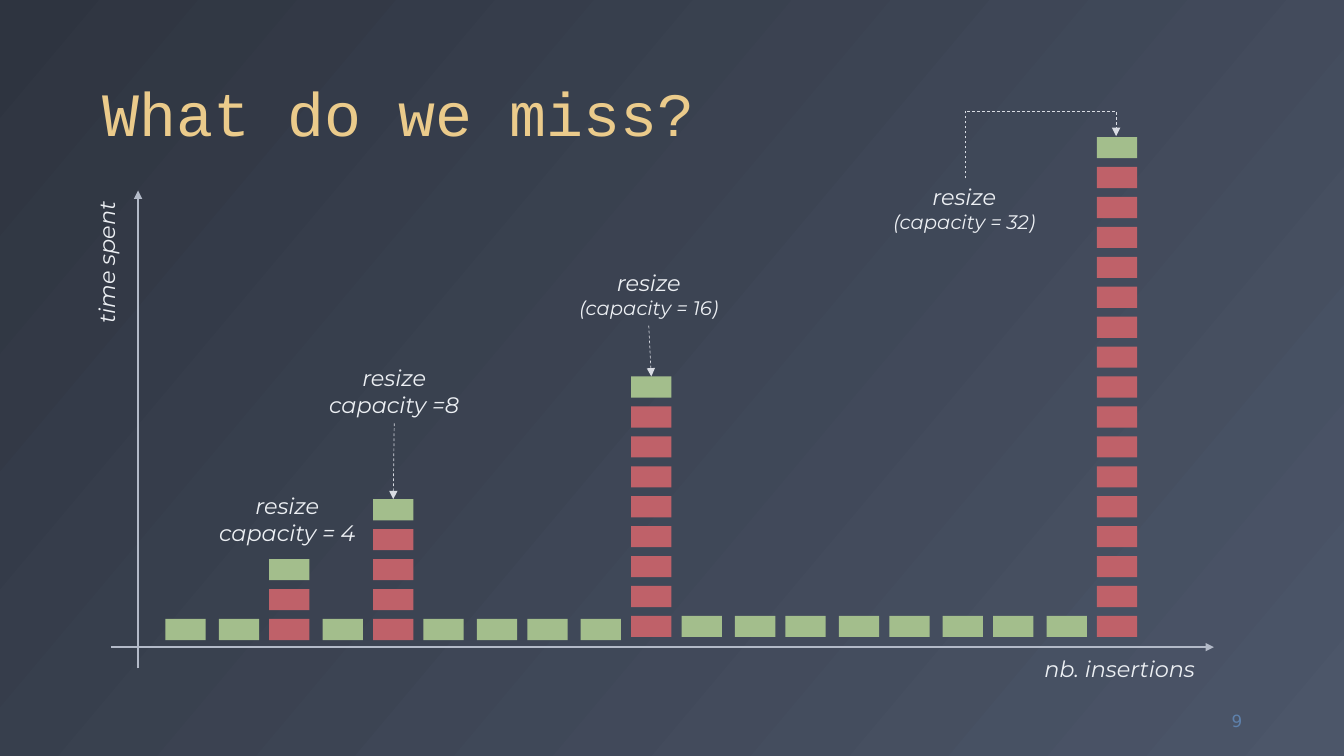
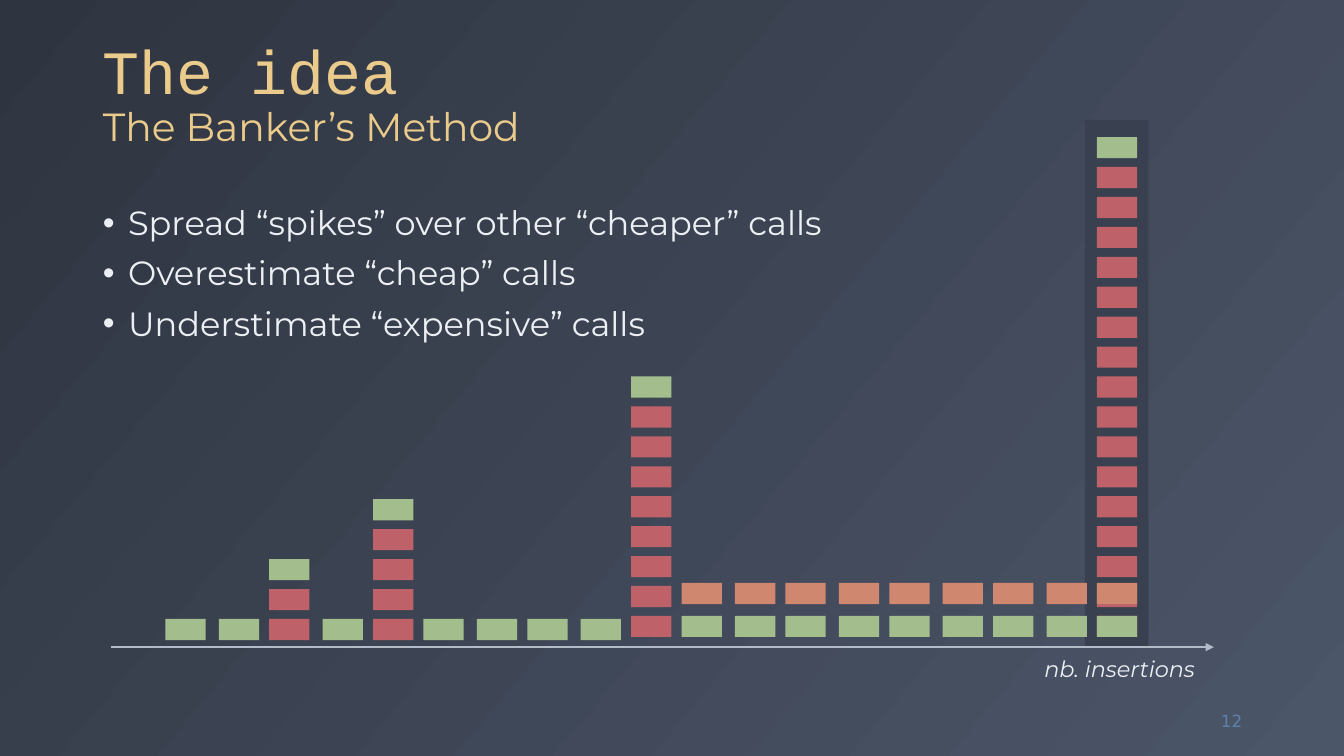
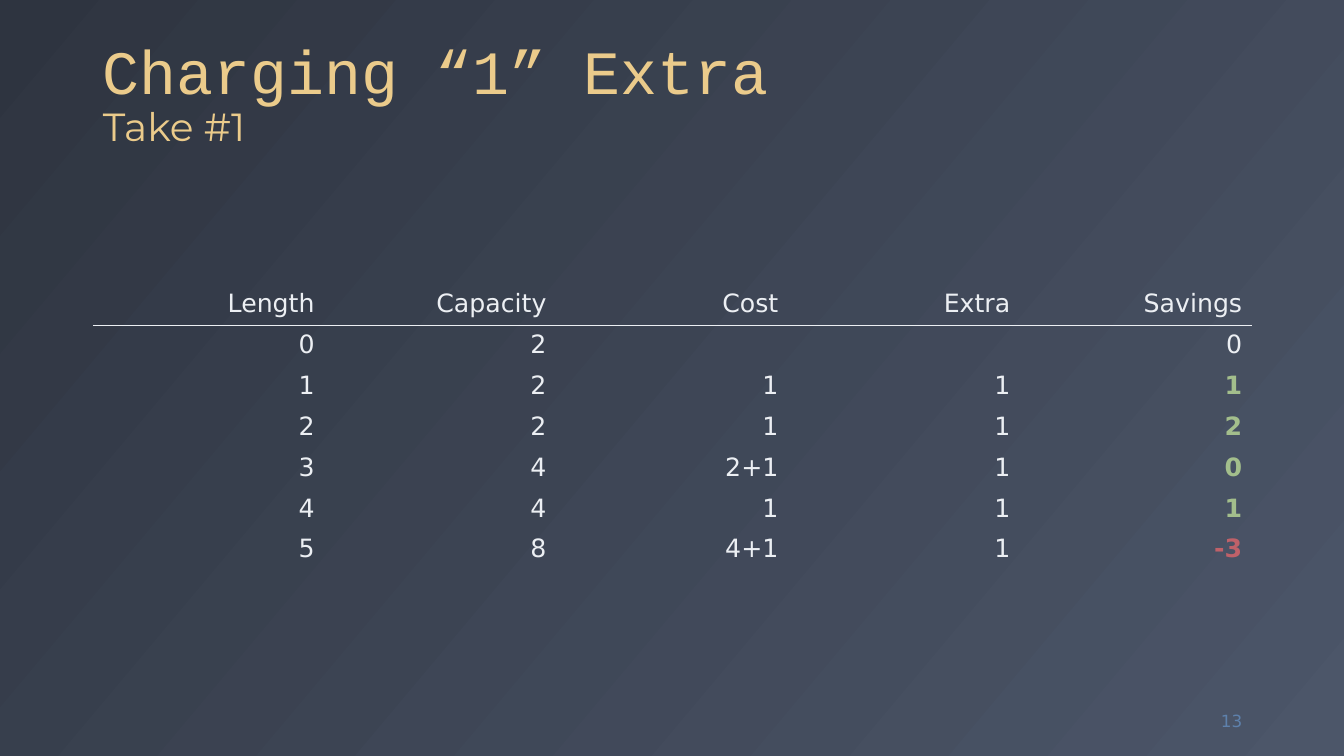
from dataclasses import dataclass
from itertools import accumulate

from lxml.etree import SubElement
from pptx import Presentation
from pptx.dml.color import RGBColor
from pptx.enum.dml import MSO_LINE
from pptx.enum.shapes import MSO_CONNECTOR as Connector, MSO_SHAPE as Shape
from pptx.enum.text import MSO_ANCHOR as Anchor, MSO_AUTO_SIZE as AutoSize, PP_ALIGN as Align
from pptx.oxml import parse_xml
from pptx.oxml.ns import nsdecls, qn
from pptx.util import Inches, Pt


@dataclass(frozen=True)
class Theme:
    night: str = "2E3440"
    slate: str = "4C5669"
    shade: str = "39404F"
    snow: str = "ECEFF3"
    axis: str = "B3BAC8"
    pointer: str = "D9DCE3"
    gold: str = "EBCB8B"
    blue: str = "5E81AC"
    green: str = "A3BE8C"
    red: str = "BF6169"
    orange: str = "D08770"
    code_font: str = "Courier New"
    text_font: str = "Montserrat"
    data_font: str = "DejaVu Sans"
    title_size: int = 44
    subtitle_size: int = 28
    body_size: int = 24
    table_size: int = 18
    label_size: int = 16
    detail_size: int = 14
    number_size: int = 12


@dataclass(frozen=True)
class Box:
    left: float
    top: float
    width: float
    height: float

    @property
    def right(self):
        return self.left + self.width

    @property
    def bottom(self):
        return self.top + self.height

    def lengths(self):
        return [Inches(n) for n in (self.left, self.top, self.width, self.height)]


THEME = Theme()
SLIDE = Box(0, 0, 13.33, 7.5)
MARGIN, CONTENT_WIDTH = 0.92, 11.5
TITLE = Box(MARGIN, 0.18, CONTENT_WIDTH, 1.36)
BODY = Box(MARGIN, 2, CONTENT_WIDTH, 4.76)
TABLE = Box(MARGIN, 2.82, CONTENT_WIDTH, 2.84)
NUMBER = Box(11.59, 6.95, 0.83, 0.4)
PLOT = Box(1.1, 1.35, 10.94, 5.07)

TITLE_ONLY, TITLE_AND_BODY = 5, 1
NO_TABLE_STYLE = "{2D5ABB26-0587-4C30-8999-92F81FD0307C}"

# Bars: wide and narrow steps between columns, equal steps between levels.
STEP = {"w": 0.53, "n": 0.5}
COLUMNS = list(accumulate((STEP[kind] for kind in "wnwnnwnwnnwnwnwnwn"), initial=0.54))
BLOCK_WIDTH, BLOCK_HEIGHT = 0.4, 0.21
LEVEL_STEP = 4.75 / 16
COPIES = {2: 2, 4: 4, 9: 8, 18: 16}
SPREAD_COLUMNS = range(10, 19)


def rgb(colour):
    return RGBColor.from_string(colour)


def write(paragraph, text, *, size, font=THEME.text_font, colour=THEME.snow,
          bold=False, italic=False, align=Align.LEFT, spacing=None, before=0):
    """Add one run and format it and its paragraph."""
    paragraph.alignment = align
    paragraph.space_before = Pt(before)
    if spacing:
        paragraph.line_spacing = spacing
    run = paragraph.add_run()
    run.text = text
    run.font.name, run.font.size = font, Pt(size)
    run.font.bold, run.font.italic = bold, italic
    run.font.color.rgb = rgb(colour)


def place(shape, box):
    shape.left, shape.top, shape.width, shape.height = box.lengths()


def add_label(slide, box, lines, rotation=0):
    """Add centred italic lines, each given as text and size."""
    shape = slide.shapes.add_textbox(*box.lengths())
    shape.rotation = rotation
    frame = shape.text_frame
    frame.word_wrap = False
    frame.auto_size = AutoSize.SHAPE_TO_FIT_TEXT
    for index, (text, size) in enumerate(lines):
        paragraph = frame.add_paragraph() if index else frame.paragraphs[0]
        write(paragraph, text, size=size, italic=True, align=Align.CENTER)
    return shape


def add_rectangle(slide, box, colour):
    shape = slide.shapes.add_shape(Shape.RECTANGLE, *box.lengths())
    shape.shadow.inherit = False
    shape.fill.solid()
    shape.fill.fore_color.rgb = rgb(colour)
    shape.line.fill.background()
    return shape


def add_arrow(slide, start, end, colour, width, dashed=False, kind=Connector.STRAIGHT):
    points = [Inches(n) for n in (*start, *end)]
    arrow = slide.shapes.add_connector(kind, *points)
    arrow.line.color.rgb = rgb(colour)
    arrow.line.width = Pt(width)
    if dashed:
        arrow.line.dash_style = MSO_LINE.DASH
    SubElement(arrow.line._get_or_add_ln(), qn("a:tailEnd"), type="triangle")
    SubElement(arrow._element.spPr, qn("a:effectLst"))
    return arrow


def add_slide(presentation, layout, number, title, subtitle=None):
    slide = presentation.slides.add_slide(presentation.slide_layouts[layout])
    place(slide.shapes.title, TITLE)
    frame = slide.shapes.title.text_frame
    frame.vertical_anchor = Anchor.BOTTOM
    frame.auto_size = AutoSize.NONE
    paragraph = frame.paragraphs[0]
    write(paragraph, title, size=THEME.title_size, font=THEME.code_font,
          colour=THEME.gold, spacing=0.9)
    if subtitle:
        paragraph.add_line_break()
        write(paragraph, subtitle, size=THEME.subtitle_size, colour=THEME.gold, spacing=0.9)

    footer = slide.shapes.add_textbox(*NUMBER.lengths()).text_frame
    footer.word_wrap = True
    footer.vertical_anchor = Anchor.MIDDLE
    write(footer.paragraphs[0], str(number), size=THEME.number_size,
          font=THEME.data_font, colour=THEME.blue, align=Align.RIGHT)
    return slide


def add_bullets(placeholder, box, items):
    place(placeholder, box)
    frame = placeholder.text_frame
    frame.auto_size = AutoSize.NONE
    for index, item in enumerate(items):
        paragraph = frame.add_paragraph() if index else frame.paragraphs[0]
        properties = paragraph._p.get_or_add_pPr()
        properties.set("marL", str(Inches(0.25)))
        properties.set("indent", str(-Inches(0.25)))
        SubElement(properties, qn("a:buFont"), typeface="Arial")
        SubElement(properties, qn("a:buChar"), char="•")
        write(paragraph, item, size=THEME.body_size, spacing=0.9, before=10 if index else 0)


def add_block(slide, plot, column, level, colour):
    base = plot.bottom - (0.28 if column < 9 else 0.31)
    box = Box(plot.left + COLUMNS[column], base - level * LEVEL_STEP, BLOCK_WIDTH, BLOCK_HEIGHT)
    return add_rectangle(slide, box, colour)


def add_cost_chart(slide, plot):
    """Draw the insertion axis and the bars; return the top block of each column."""
    add_arrow(slide, (plot.left, plot.bottom), (plot.right, plot.bottom), THEME.axis, 1)
    add_label(slide, Box(plot.right - 1.79, plot.bottom + 0.03, 1.71, 0.37),
              [("nb. insertions", THEME.label_size)])
    tops = []
    for column in range(len(COLUMNS)):
        copies = COPIES.get(column, 0)
        for level in range(copies):
            add_block(slide, plot, column, level, THEME.red)
        tops.append(add_block(slide, plot, column, copies, THEME.green))
    return tops


def add_time_axis(slide, plot):
    left = plot.left + 0.27
    add_arrow(slide, (left, plot.bottom + 0.21), (left, plot.top + 0.54), THEME.axis, 1)
    add_label(slide, Box(plot.left - 0.76, plot.top + 1.07, 1.43, 0.37),
              [("time spent", THEME.label_size)], rotation=270)


def add_resize_label(slide, box, capacity, size):
    return add_label(slide, box, [("resize", THEME.label_size), (capacity, size)])


def add_pointer(slide, label, block):
    arrow = add_arrow(slide, (0, 0), (1, 1), THEME.pointer, 0.5, dashed=True)
    arrow.begin_connect(label, 2)
    arrow.end_connect(block, 0)


def add_overhead_pointer(slide, start, end, peak):
    """Draw an elbow that rises from start to peak, then drops onto end."""
    arrow = add_arrow(slide, start, end, THEME.pointer, 0.5, dashed=True, kind=Connector.ELBOW)
    rise, run = start[1] - end[1], end[0] - start[0]
    middle, centre = (start[0] + end[0]) / 2, (start[1] + end[1]) / 2
    place(arrow, Box(middle - rise / 2, centre - run / 2, rise, run))
    transform = arrow._element.spPr.find(qn("a:xfrm"))
    for name, value in (("rot", 90 * 60000), ("flipH", 1), ("flipV", 1)):
        transform.set(name, str(value))
    geometry = arrow._element.spPr.find(qn("a:prstGeom"))
    guides = geometry.find(qn("a:avLst"))
    if guides is None:
        guides = SubElement(geometry, qn("a:avLst"))
    bend = round((start[1] - peak) / rise * 100000)
    SubElement(guides, qn("a:gd"), name="adj1", fmla=f"val {bend}")


def add_savings_table(slide, box, rows):
    shape = slide.shapes.add_table(len(rows), len(rows[0]), *box.lengths())
    table = shape.table
    table.first_row = table.horz_banding = False
    table._tbl.tblPr.find(qn("a:tableStyleId")).text = NO_TABLE_STYLE
    for row in table.rows:
        row.height = Inches(box.height / len(rows))
    for row_index, values in enumerate(rows):
        for column_index, value in enumerate(values):
            cell = table.cell(row_index, column_index)
            cell.fill.background()
            if row_index == 0:
                underline(cell)
            is_result = row_index > 1 and column_index == len(values) - 1
            colour = THEME.snow
            if is_result:
                colour = THEME.red if value.startswith("-") else THEME.green
            if value:
                write(cell.text_frame.paragraphs[0], value, size=THEME.table_size,
                      font=THEME.data_font, colour=colour, bold=is_result, align=Align.RIGHT)


def underline(cell):
    border = parse_xml(
        f'<a:lnB {nsdecls("a")} w="{Pt(0.75)}"><a:solidFill>'
        f'<a:srgbClr val="{THEME.snow}"/></a:solidFill></a:lnB>')
    cell._tc.get_or_add_tcPr().insert(0, border)


def set_background(master):
    fill = master.background.fill
    fill.gradient()
    fill.gradient_angle = 360 - 40
    for stop, colour, position in zip(fill.gradient_stops, (THEME.night, THEME.slate), (0, 1)):
        stop.color.rgb = rgb(colour)
        stop.position = position


def build_resize_slide(presentation):
    slide = add_slide(presentation, TITLE_ONLY, 9, "What do we miss?")
    add_time_axis(slide, PLOT)
    tops = add_cost_chart(slide, PLOT)
    add_resize_label(slide, Box(2.06, 4.83, 1.58, 0.64), "capacity = 4", THEME.label_size)
    eight = add_resize_label(slide, Box(3.15, 3.56, 1.52, 0.64), "capacity =8", THEME.label_size)
    sixteen = add_resize_label(slide, Box(5.64, 2.62, 1.59, 0.61), "(capacity = 16)",
                               THEME.detail_size)
    add_resize_label(slide, Box(8.75, 1.77, 1.63, 0.61), "(capacity = 32)", THEME.detail_size)
    add_pointer(slide, eight, tops[4])
    add_pointer(slide, sixteen, tops[9])
    add_overhead_pointer(slide, (9.57, 1.77), (11.07, PLOT.top), 1.1)


def build_idea_slide(presentation):
    slide = add_slide(presentation, TITLE_AND_BODY, 12, "The idea", "The Banker’s Method")
    add_bullets(slide.placeholders[1], BODY, [
        "Spread “spikes” over other “cheaper” calls",
        "Overestimate “cheap” calls",
        "Understimate “expensive” calls",
    ])
    add_rectangle(slide, Box(10.76, 1.19, 0.63, PLOT.bottom - 1.19), THEME.shade)
    add_cost_chart(slide, PLOT)
    for column in SPREAD_COLUMNS:
        add_block(slide, PLOT, column, 1.1, THEME.orange)
    add_block(slide, PLOT, SPREAD_COLUMNS[-1], 0, THEME.green)


def build_table_slide(presentation):
    slide = add_slide(presentation, TITLE_ONLY, 13, "Charging “1” Extra", "Take #1")
    add_savings_table(slide, TABLE, [
        ("Length", "Capacity", "Cost", "Extra", "Savings"),
        ("0", "2", "", "", "0"),
        ("1", "2", "1", "1", "1"),
        ("2", "2", "1", "1", "2"),
        ("3", "4", "2+1", "1", "0"),
        ("4", "4", "1", "1", "1"),
        ("5", "8", "4+1", "1", "-3"),
    ])


def main():
    presentation = Presentation()
    presentation.slide_width = Inches(SLIDE.width)
    presentation.slide_height = Inches(SLIDE.height)
    set_background(presentation.slide_master)
    build_resize_slide(presentation)
    build_idea_slide(presentation)
    build_table_slide(presentation)
    presentation.save("out.pptx")


if __name__ == "__main__":
    main()
